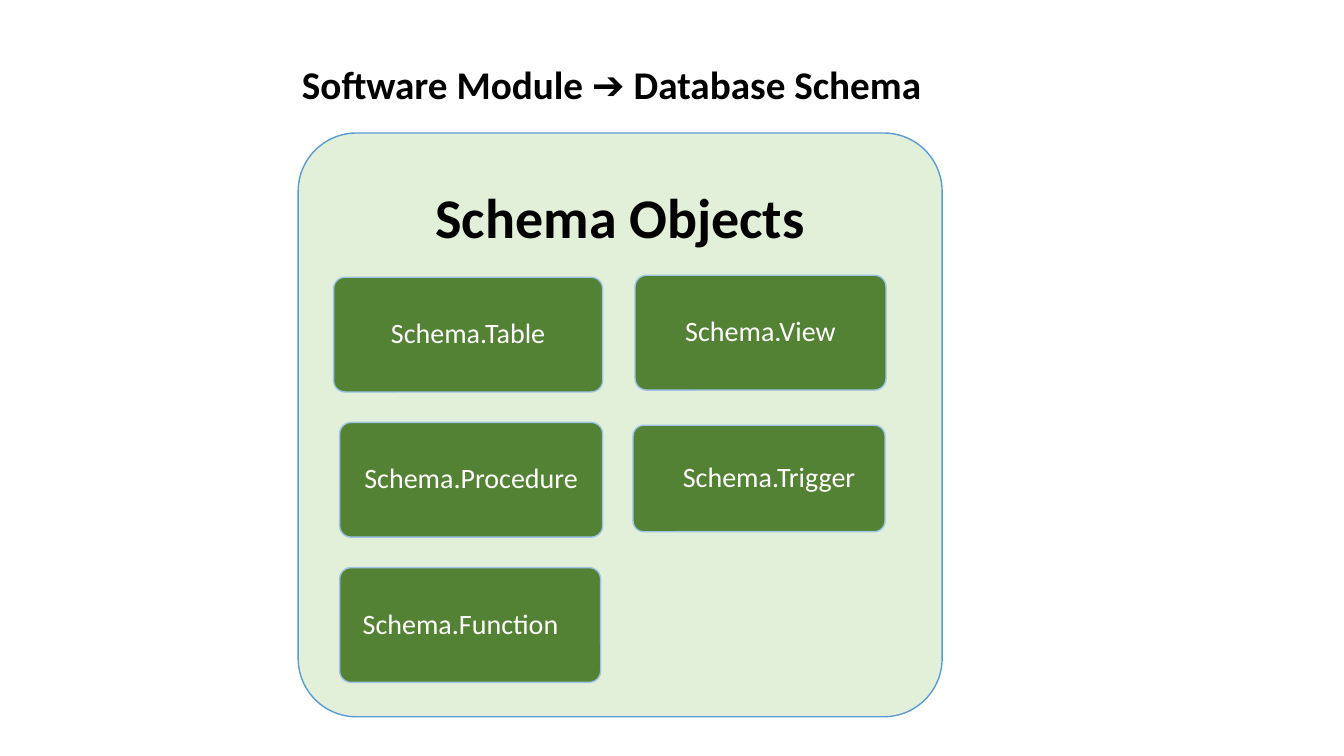
import pptx
import pptx.util
import pptx.dml.color
import pptx.enum.shapes
import pptx.enum.text

Pt = pptx.util.Pt
ALIGN = pptx.enum.text.PP_ALIGN
ANCHOR = pptx.enum.text.MSO_ANCHOR

TITLE = "Software Module \u2794 Database Schema"
HEADING = "Schema Objects"
TITLE_BOX = (208.6, 39.6, 494, 41)
PANEL = (213, 95, 460, 417)
HEADING_HEIGHT = 125

# name, (left, top, width, height), (left inset, right inset)
OBJECTS = [
    ("Schema.Table", (238.3, 198, 192.2, 82), (4, 4)),
    ("Schema.View", (453.6, 196.6, 179.3, 82), (4, 4)),
    ("Schema.Procedure", (242.6, 301.7, 187.9, 82), (4, 4)),
    ("Schema.Trigger", (452.2, 303.8, 180, 76), (18.4, 4)),
    ("Schema.Function", (242.6, 405.4, 186.5, 82), (4, 17.7)),
]


def color(value):
    """Turn a hex string into a colour."""
    return pptx.dml.color.RGBColor.from_string(value)


def write(sp, text, size=20, fill="FFFFFF", bold=False, align=ALIGN.CENTER,
          anchor=ANCHOR.MIDDLE, insets=(4, 4), spacing=0.9):
    """Write one formatted paragraph into a shape."""
    tf = sp.text_frame
    tf.word_wrap = True
    tf.vertical_anchor = anchor
    tf.margin_left, tf.margin_right = (Pt(inset) for inset in insets)
    p = tf.paragraphs[0]
    p.alignment = align
    p.line_spacing = spacing
    r = p.add_run()
    r.text = text
    r.font.name = "Calibri"
    r.font.size = Pt(size)
    r.font.bold = bold
    r.font.color.rgb = color(fill)


def add_box(s, place, fill, line):
    """Add a rounded box with a thin outline."""
    sp = s.shapes.add_shape(pptx.enum.shapes.MSO_SHAPE.ROUNDED_RECTANGLE,
                            *map(Pt, place))
    sp.adjustments[0] = 0.1
    sp.shadow.inherit = False
    sp.fill.solid()
    sp.fill.fore_color.rgb = color(fill)
    sp.line.color.rgb = color(line)
    sp.line.width = Pt(1)
    return sp


prs = pptx.Presentation()
prs.slide_width, prs.slide_height = Pt(960), Pt(540)
s = prs.slides.add_slide(prs.slide_layouts[6])

add_box(s, PANEL, "E2F0D9", "5B9BD5")
heading = s.shapes.add_textbox(*map(Pt, (*PANEL[:3], HEADING_HEIGHT)))
write(heading, HEADING, size=40, fill="000000", bold=True, insets=(12, 12))

for name, place, insets in OBJECTS:
    write(add_box(s, place, "548235", "9DC3E6"), name, insets=insets)

title = s.shapes.add_textbox(*map(Pt, TITLE_BOX))
write(title, TITLE, size=28, fill="000000", bold=True, align=ALIGN.LEFT,
      anchor=ANCHOR.TOP, insets=(7.2, 7.2), spacing=1.0)

prs.save("out.pptx")
